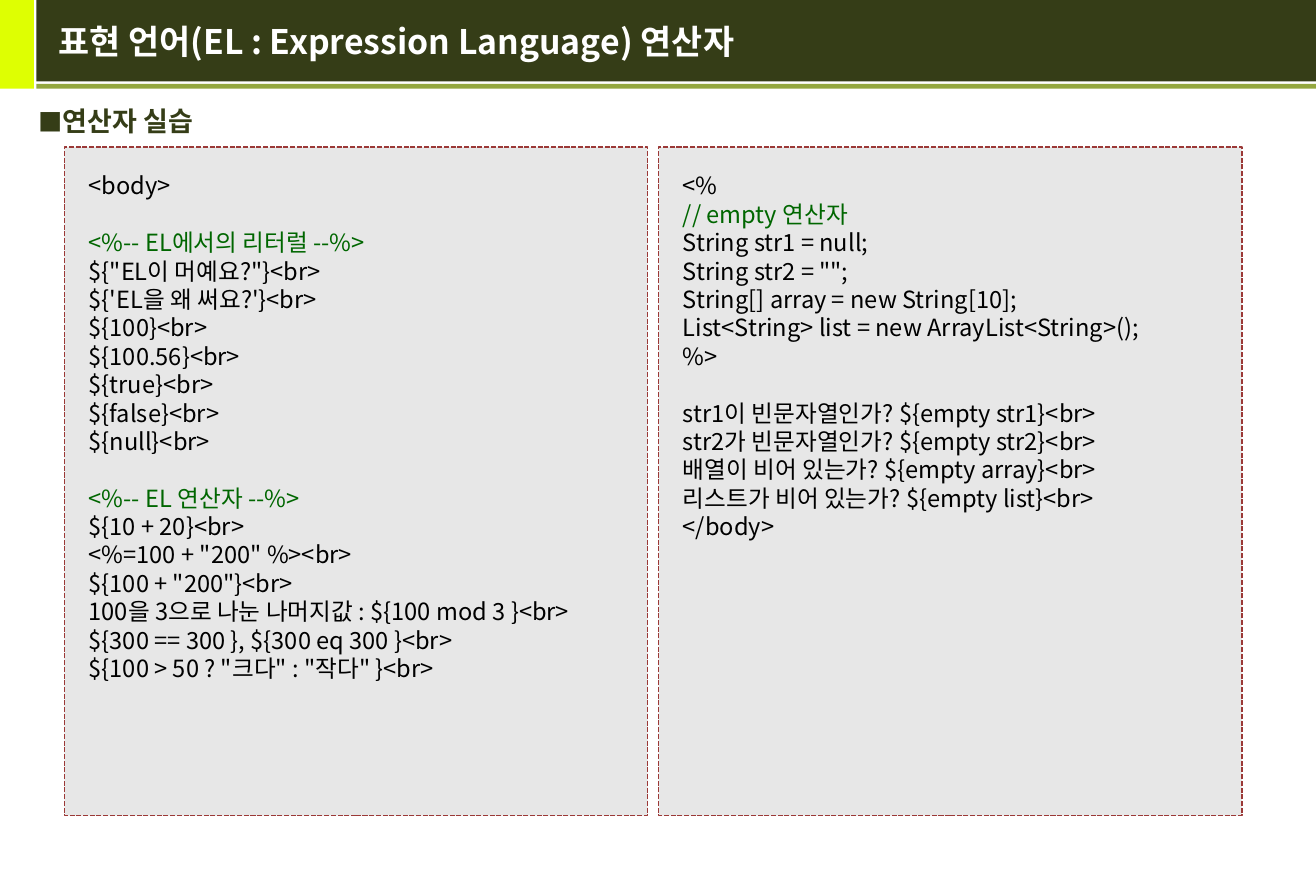
from pptx import Presentation, util as u
from pptx.dml.color import RGBColor
from pptx.enum import dml, shapes, text
from pptx.oxml.ns import qn
from lxml import etree

FONT = "Noto Sans CJK KR"
OLIVE, LIME, MOSS, WHITE = "353D17", "DEFF02", "93A73F", "FFFFFF"
BLACK, GREEN, GRAY, BRICK = "000000", "006600", "808080", "9B3937"
PITCH = 16.8

LITERALS = """<body>

<%-- EL에서의 리터럴 --%>
${"EL이 머예요?"}<br>
${'EL을 왜 써요?'}<br>
${100}<br>
${100.56}<br>
${true}<br>
${false}<br>
${null}<br>

<%-- EL 연산자 --%>
${10 + 20}<br>
<%=100 + "200" %><br>
${100 + "200"}<br>
100을 3으로 나눈 나머지값 : ${100 mod 3 }<br>
${300 == 300 }, ${300 eq 300 }<br>
${100 > 50 ? "크다" : "작다" }<br>"""

EMPTY_CHECKS = """<%
// empty 연산자
String str1 = null;
String str2 = "";
String[] array = new String[10];
List<String> list = new ArrayList<String>();
%>

str1이 빈문자열인가? ${empty str1}<br>
str2가 빈문자열인가? ${empty str2}<br>
배열이 비어 있는가? ${empty array}<br>
리스트가 비어 있는가? ${empty list}<br>
</body>"""


def rgb(value):
    return RGBColor.from_string(value)


def set_all(obj, values):
    for name, value in values.items():
        setattr(obj, name, value)


def child(parent, tag, **attrs):
    return etree.SubElement(parent, qn(tag), attrs)


class Deck:
    """Holds the shared style and the current slide."""

    def __init__(self, width, height):
        self.prs = Presentation()
        set_all(self.prs, {"slide_width": u.Inches(width), "slide_height": u.Inches(height)})
        self.s = self.prs.slides.add_slide(self.prs.slide_layouts[5])

    def run(self, p, line, size, color, bold=False):
        r = p.add_run()
        r.text = line
        set_all(r.font, {"name": FONT, "size": u.Pt(size), "bold": bold})
        r.font.color.rgb = rgb(color)
        child(r._r.get_or_add_rPr(), "a:ea", typeface=FONT)

    def rect(self, box, fill):
        sp = self.s.shapes.add_shape(shapes.MSO_SHAPE.RECTANGLE, *map(u.Inches, box))
        sp.shadow.inherit = False
        sp.fill.solid()
        sp.fill.fore_color.rgb = rgb(fill)
        sp.line.fill.background()
        return sp

    def title(self, box, line):
        sp = self.s.shapes.title
        set_all(sp, dict(zip(("left", "top", "width", "height"), map(u.Inches, box))))
        self.s.shapes._spTree.append(sp._element)
        set_all(sp.text_frame, {"vertical_anchor": text.MSO_ANCHOR.MIDDLE, "word_wrap": True})
        p = sp.text_frame.paragraphs[0]
        p.alignment = text.PP_ALIGN.LEFT
        self.run(p, line, 20, WHITE, True)

    def bullet(self, box, line):
        tf = self.s.shapes.add_textbox(*map(u.Inches, box)).text_frame
        tf.word_wrap = True
        p = tf.paragraphs[0]
        pPr = p._p.get_or_add_pPr()
        indent = u.Inches(0.2)
        pPr.attrib.update({"marL": str(indent), "indent": str(-indent)})
        child(child(pPr, "a:buClr"), "a:srgbClr", val=OLIVE)
        child(pPr, "a:buSzPct", val="90000")
        child(pPr, "a:buFont", typeface=FONT)
        child(pPr, "a:buChar", char="■")
        self.run(p, line, 16, OLIVE, True)

    def code(self, box, source):
        sp = self.rect(box, GRAY)
        child(sp._element.spPr.find(".//" + qn("a:srgbClr")), "a:alpha", val="19000")
        sp.line.color.rgb = rgb(BRICK)
        set_all(sp.line, {"width": u.Pt(1), "dash_style": dml.MSO_LINE.SQUARE_DOT})
        tf = sp.text_frame
        set_all(tf, {"word_wrap": True, "vertical_anchor": text.MSO_ANCHOR.TOP})
        set_all(tf, {f"margin_{side}": u.Inches(0.2) for side in ("left", "top", "right", "bottom")})
        p = tf.paragraphs[0]
        for b, block in enumerate(source.split("\n\n")):
            for i, line in enumerate(block.split("\n")):
                if b or i:
                    p = tf.add_paragraph()
                gap = PITCH if b and not i else 0
                set_all(p, {"alignment": text.PP_ALIGN.LEFT, "line_spacing": u.Pt(PITCH),
                            "space_before": u.Pt(gap)})
                self.run(p, line, 14, GREEN if line.startswith(("<%--", "//")) else BLACK)


def main():
    deck = Deck(10.83, 7.28)
    deck.rect((0, 0, 0.28, 0.73), LIME)
    deck.rect((0.3, 0, 10.53, 0.67), OLIVE)
    deck.rect((0.3, 0.69, 10.53, 0.04), MOSS)
    deck.bullet((0.22, 0.81, 10.47, 0.38), "연산자 실습")
    deck.title((0.38, 0, 10.32, 0.68), "표현 언어(EL : Expression Language) 연산자")
    for i, source in enumerate((LITERALS, EMPTY_CHECKS)):
        deck.code((0.53 + i * 4.89, 1.21, 4.8, 5.5), source)
    deck.prs.save("out.pptx")


if __name__ == "__main__":
    main()
